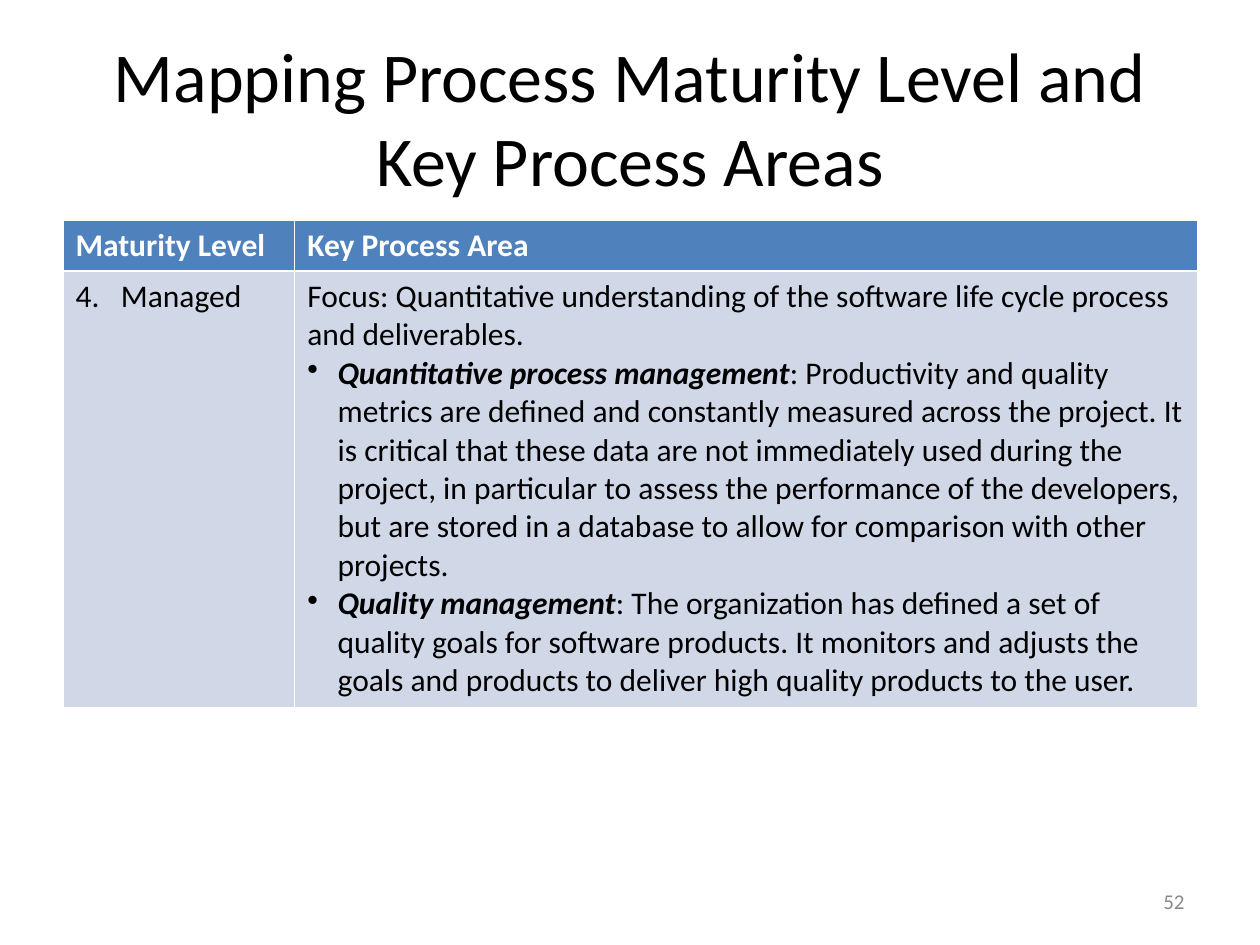
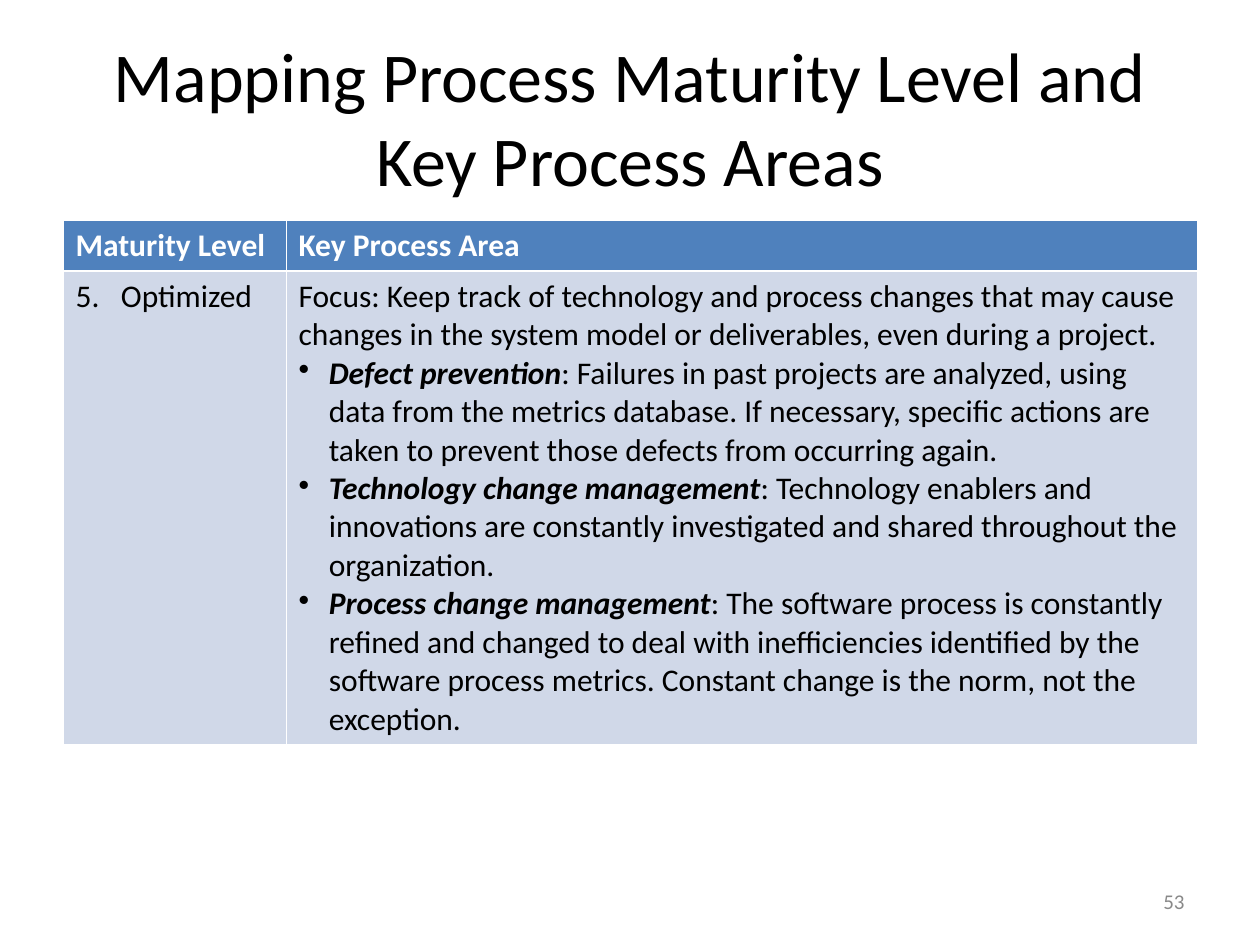
from lxml import etree
from pptx import Presentation
from pptx.dml.color import RGBColor
from pptx.enum import text
from pptx.oxml import ns
from pptx.util import Emu, Inches, Pt

HEX = {"ink": "000000", "head": "4F81BD", "body": "D0D8E8",
       "line": "FFFFFF", "page": "898989"}
STYLES = {
    "title": {"size": Pt(40), "color": "ink"},
    "head": {"size": Pt(18), "bold": True, "color": "line"},
    "body": {"size": Pt(18), "bold": False, "color": "ink"},
    "term": {"size": Pt(18), "bold": True, "italic": True, "color": "ink"},
    "page": {"size": Pt(12), "color": "page"},
}
TITLE = "Mapping Process Maturity Level and Key Process Areas"
HEADS = ["Maturity Level", "Key Process Area"]
THIN, THICK = 0.45, 1.47
LEVELS = [
    {"page": 52, "level": "4.\tManaged", "split": 1.84, "rows": (0.4, 3.46),
     "focus": "Focus: Quantitative understanding of the software life cycle "
              "process and deliverables.",
     "areas": [
         ("Quantitative process management",
          ": Productivity and quality metrics are defined and constantly "
          "measured across the project. It is critical that these data are "
          "not immediately used during the project, in particular to assess "
          "the performance of the developers, but are stored in a database "
          "to allow for comparison with other projects."),
         ("Quality management",
          ": The organization has defined a set of quality goals for software "
          "products. It monitors and adjusts the goals and products to "
          "deliver high quality products to the user.")]},
    {"page": 53, "level": "5.\tOptimized", "split": 1.77, "rows": (0.4, 3.76),
     "focus": "Focus: Keep track of technology and process changes that may "
              "cause changes in the system model or deliverables, even during "
              "a project.",
     "areas": [
         ("Defect prevention",
          ": Failures in past projects are analyzed, using data from the "
          "metrics database. If necessary, specific actions are taken to "
          "prevent those defects from occurring again."),
         ("Technology change management",
          ": Technology enablers and innovations are constantly investigated "
          "and shared throughout the organization."),
         ("Process change management",
          ": The software process is constantly refined and changed to deal "
          "with inefficiencies identified by the software process metrics. "
          "Constant change is the norm, not the exception.")]},
]


def add_run(para, words, style):
    run = para.add_run()
    run.text = words
    run.font.name = "Calibri"
    for key, value in STYLES[style].items():
        if key == "color":
            run.font.color.rgb = RGBColor.from_string(HEX[value])
        else:
            setattr(run.font, key, value)


def add_text(slide, box, words, style, align):
    frame = slide.shapes.add_textbox(*map(Inches, box)).text_frame
    frame.word_wrap = True
    frame.vertical_anchor = text.MSO_ANCHOR.MIDDLE
    para = frame.paragraphs[0]
    para.alignment = align
    add_run(para, words, style)


def set_bullet(para, indent=0.24):
    props = para._p.get_or_add_pPr()
    props.set("marL", str(Inches(indent)))
    props.set("indent", str(-Inches(indent)))
    etree.SubElement(props, ns.qn("a:buChar"), char="•")


def set_tab(para, stop=0.36):
    tabs = etree.SubElement(para._p.get_or_add_pPr(), ns.qn("a:tabLst"))
    etree.SubElement(tabs, ns.qn("a:tab"), pos=str(Inches(stop)), algn="l")


def paint(cell, fill, top, bottom):
    """Fill a cell and draw its four borders."""
    cell.fill.solid()
    cell.fill.fore_color.rgb = RGBColor.from_string(HEX[fill])
    props = cell._tc.get_or_add_tcPr()
    widths = {"lnL": THIN, "lnR": THIN, "lnT": top, "lnB": bottom}
    for place, (side, width) in enumerate(widths.items()):
        line = etree.Element(ns.qn("a:" + side), w=str(Pt(width)))
        solid = etree.SubElement(line, ns.qn("a:solidFill"))
        etree.SubElement(solid, ns.qn("a:srgbClr"), val=HEX["line"])
        props.insert(place, line)


def add_grid(slide, box, level):
    left, top, width = box
    rows = level["rows"]
    grid = slide.shapes.add_table(
        2, 2, *map(Inches, (left, top, width, sum(rows)))).table
    grid.first_row = grid.horz_banding = False
    for col, size in zip(grid.columns, (level["split"], width - level["split"])):
        col.width = Emu(Inches(size))
    for row, size in zip(grid.rows, rows):
        row.height = Inches(size)
    for col, words in enumerate(HEADS):
        paint(grid.cell(0, col), "head", THIN, THICK)
        paint(grid.cell(1, col), "body", THICK, THIN)
        add_run(grid.cell(0, col).text_frame.paragraphs[0], words, "head")

    name = grid.cell(1, 0).text_frame.paragraphs[0]
    set_tab(name)
    add_run(name, level["level"], "body")
    frame = grid.cell(1, 1).text_frame
    add_run(frame.paragraphs[0], level["focus"], "body")
    for term, words in level["areas"]:
        para = frame.add_paragraph()
        set_bullet(para)
        add_run(para, term, "term")
        add_run(para, words, "body")


def add_level(deck, level):
    slide = deck.slides.add_slide(deck.slide_layouts[6])
    add_text(slide, (0.5, 0.3, 9, 1.25), TITLE, "title", text.PP_ALIGN.CENTER)
    add_grid(slide, (0.5, 1.75, 9), level)
    add_text(slide, (7.17, 6.95, 2.33, 0.4), str(level["page"]), "page",
             text.PP_ALIGN.RIGHT)


def main():
    deck = Presentation()
    deck.slide_width, deck.slide_height = Inches(10), Inches(7.5)
    for level in LEVELS:
        add_level(deck, level)
    deck.save("out.pptx")


if __name__ == "__main__":
    main()
